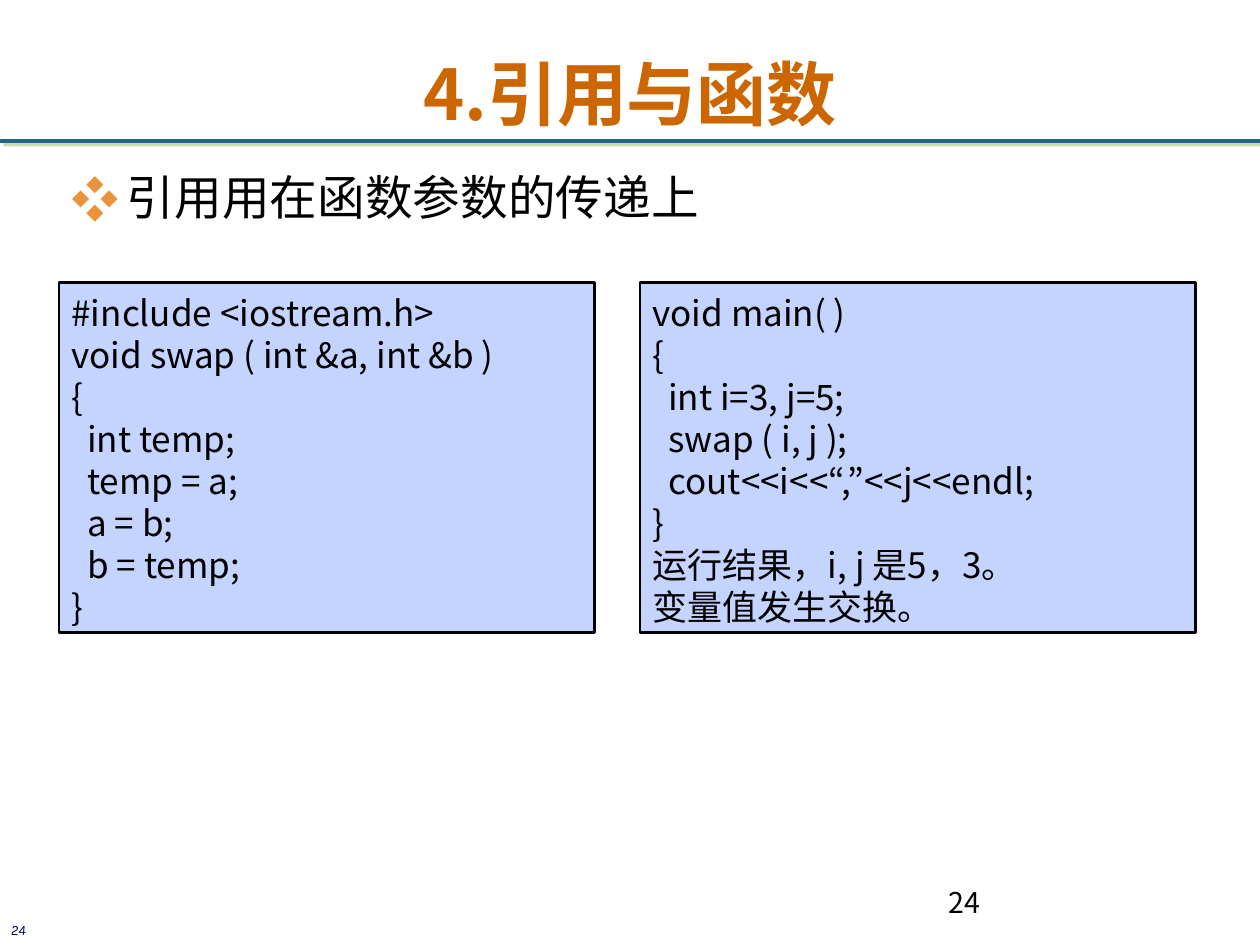
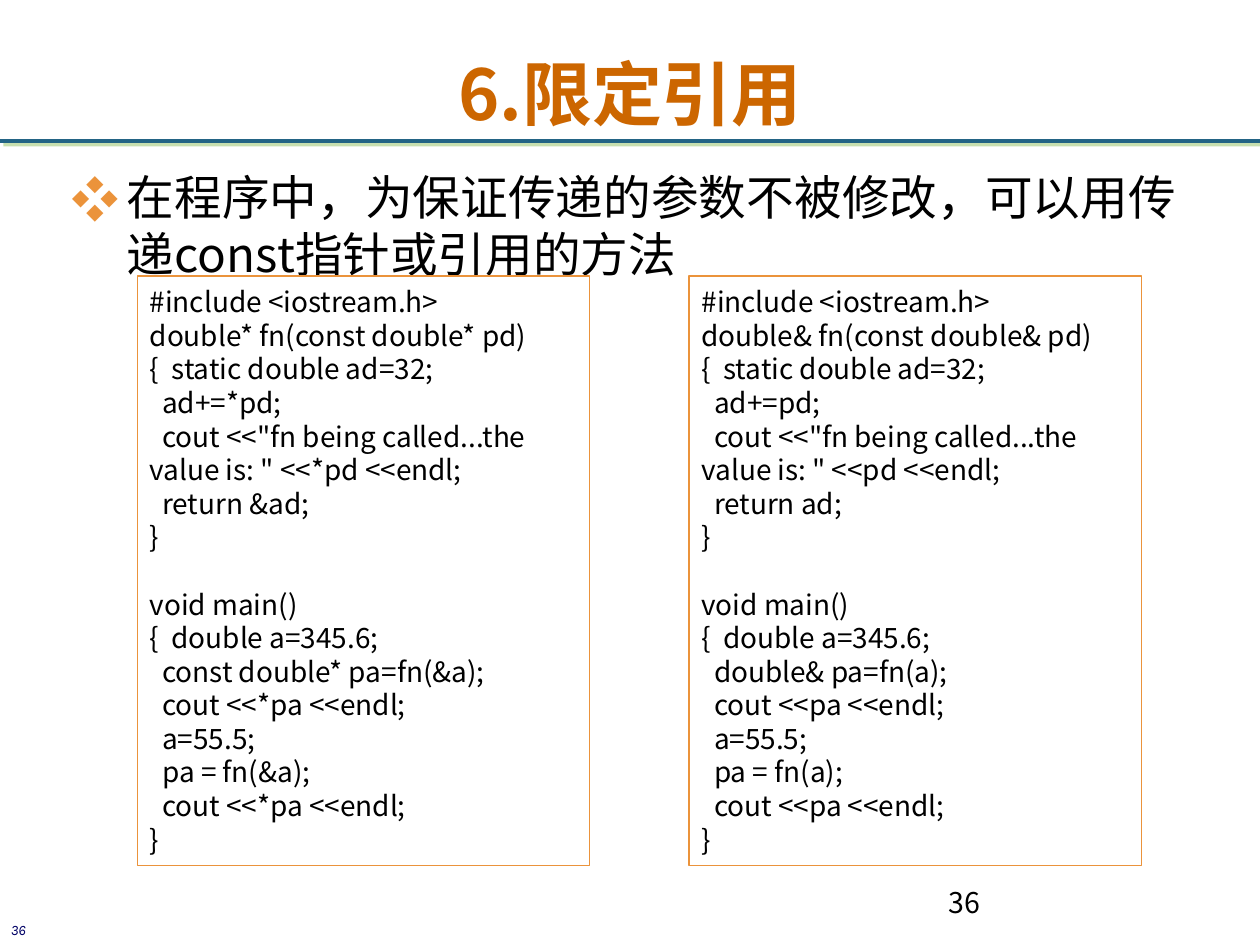
import pptx
import pptx.util
import pptx.dml.color
import pptx.enum.shapes
import pptx.enum.text
import pptx.oxml
import pptx.oxml.ns
from lxml import etree

Pt = pptx.util.Pt
ALIGN = pptx.enum.text.PP_ALIGN
ANCHOR = pptx.enum.text.MSO_ANCHOR
RECT = pptx.enum.shapes.MSO_SHAPE.RECTANGLE
qn = pptx.oxml.ns.qn

WIDE, HIGH = 720, 540
SANS, MARK = "Noto Sans CJK KR", "Karla"
INK, WHITE, ORANGE = "000000", "FFFFFF", "EB933B"
RUST, TEAL, GREEN, NAVY, BLUE = "CC6600", "236485", "90C060", "000066", "C5D3FF"
PITCH = 1.2   # line height per point of type
DROP = 0.09   # extra top inset per point of type

SWAP = """#include <iostream.h>
void swap ( int &a, int &b )
{
  int temp;
  temp = a;
  a = b;
  b = temp;
}"""

CALL = """void main( )
{
  int i=3, j=5;
  swap ( i, j );
  cout<<i<<“,”<<j<<endl;
}
运行结果，i, j 是5，3。
变量值发生交换。"""

POINTER = """#include <iostream.h>
double* fn(const double* pd)
{  static double ad=32;
  ad+=*pd;
  cout <<"fn being called...the value is: " <<*pd <<endl;
  return &ad;
}

void main()
{  double a=345.6;
  const double* pa=fn(&a);
  cout <<*pa <<endl;
  a=55.5;
  pa = fn(&a);
  cout <<*pa <<endl;
}"""

REFER = """#include <iostream.h>
double& fn(const double& pd)
{  static double ad=32;
  ad+=pd;
  cout <<"fn being called...the value is: " <<pd <<endl;
  return ad;
}

void main()
{  double a=345.6;
  double& pa=fn(a);
  cout <<pa <<endl;
  a=55.5;
  pa = fn(a);
  cout <<pa <<endl;
}"""


def tint(code):
    return pptx.dml.color.RGBColor.from_string(code)


def add(node, tag, **attrs):
    """Append a drawing element with its attributes."""
    child = etree.SubElement(node, qn(tag))
    for key, value in attrs.items():
        child.set(key, str(value))
    return child


def style(par, size, color=INK, face=SANS, bold=False, slant=False):
    for run in par.runs:
        font = run.font
        font.size, font.name = Pt(size), face
        font.bold, font.italic = bold, slant
        font.color.rgb = tint(color)
        add(run.font._element, "a:ea", typeface=face)


def write(shape, text, size, align=ALIGN.LEFT, **look):
    """Fill a shape with lines of text; an empty line becomes a gap."""
    frame = shape.text_frame
    frame.word_wrap = True
    frame.auto_size = pptx.enum.text.MSO_AUTO_SIZE.NONE
    frame.vertical_anchor = ANCHOR.TOP
    frame.margin_left = frame.margin_right = Pt(7.2)
    frame.margin_top = Pt(3.6 + DROP * size)
    frame.margin_bottom = Pt(0)
    par, gap = None, 0
    for line in text.split("\n"):
        if not line:
            gap += PITCH * size
            continue
        par = frame.paragraphs[0] if par is None else frame.add_paragraph()
        par.text = line
        par.alignment = align
        par.line_spacing = Pt(PITCH * size)
        if gap:
            par.space_before = Pt(gap)
            gap = 0
        style(par, size, **look)
    return frame


def label(slide, box, text, size, **look):
    shape = slide.shapes.add_textbox(*map(Pt, box))
    return write(shape, text, size, **look)


def block(slide, box, fill, edge=None, width=0):
    shape = slide.shapes.add_shape(RECT, *map(Pt, box))
    shape.shadow.inherit = False
    shape.fill.solid()
    shape.fill.fore_color.rgb = tint(fill)
    if edge:
        shape.line.color.rgb = tint(edge)
        shape.line.width = Pt(width)
    else:
        shape.line.fill.background()
    return shape


def rule(slide, top):
    """Line under the title with a soft green shadow."""
    line = slide.shapes.add_connector(
        pptx.enum.shapes.MSO_CONNECTOR.STRAIGHT, Pt(0), Pt(top), Pt(WIDE), Pt(top))
    line.line.color.rgb = tint(TEAL)
    line.line.width = Pt(2.25)
    effects = add(line._element.spPr, "a:effectLst")
    shade = add(effects, "a:outerShdw", dist=Pt(2.8), dir=45 * 60000,
                algn="ctr", rotWithShape=0)
    color = add(shade, "a:srgbClr", val=GREEN)
    add(color, "a:alpha", val=50000)


def badge(slide, box, number):
    """Small page number in the corner."""
    shape = block(slide, box, WHITE)
    frame = write(shape, number, 8.2, align=ALIGN.CENTER,
                  color=NAVY, face=MARK, slant=True)
    frame.word_wrap = False
    frame.vertical_anchor = ANCHOR.MIDDLE
    frame.margin_left = frame.margin_right = Pt(0)
    frame.margin_top = frame.margin_bottom = Pt(3.6)
    frame.paragraphs[0].line_spacing = 1.3


def point(slide, box, text):
    """Bulleted statement with a hanging indent."""
    shape = slide.shapes.add_textbox(*map(Pt, box))
    par = write(shape, text, 27.2).paragraphs[0]
    props = par._p.get_or_add_pPr()
    props.set("marL", str(Pt(31.7)))
    props.set("indent", str(-Pt(31.7)))
    add(add(props, "a:buClr"), "a:srgbClr", val=ORANGE)
    add(props, "a:buFont", typeface=SANS)
    add(props, "a:buChar", char="❖")


def base(deck, number, title, text):
    """Everything the slides share."""
    slide = deck.slides.add_slide(deck.slide_layouts[6])
    slide.background.fill.solid()
    slide.background.fill.fore_color.rgb = tint(WHITE)
    rule(slide, 80.6)
    badge(slide, (0, 520.5, 20.9, 18.7), number)
    label(slide, (36, 21.6, 648, 68.4), title, 40,
          align=ALIGN.CENTER, color=RUST, bold=True)
    point(slide, (33.8, 90, 663.8, 73.4), text)
    label(slide, (535, 500.4, 185, 28.8), number, 16.3)
    return slide


def codes(slide, boxes, texts, size, fill, edge, width):
    """Code listings side by side."""
    for box, text in zip(boxes, texts):
        write(block(slide, box, fill, edge, width), text, size)


def main():
    deck = pptx.Presentation()
    deck.slide_width, deck.slide_height = Pt(WIDE), Pt(HIGH)

    # References as parameters
    slide = base(deck, "24", "4.引用与函数", "引用用在函数参数的传递上")
    boxes = [(33.8, 161.3, 306, 200.2), (365.8, 161.3, 317.5, 200.2)]
    codes(slide, boxes, (SWAP, CALL), 20, BLUE, INK, 1.5)

    # Constant pointers and references
    slide = base(deck, "36", "6.限定引用",
                 "在程序中，为保证传递的参数不被修改，可以用传递const指针或引用的方法")
    boxes = [(left, 157.7, 258.5, 337) for left in (78.5, 393.8)]
    codes(slide, boxes, (POINTER, REFER), 16, WHITE, ORANGE, 0.75)

    deck.save("out.pptx")


if __name__ == "__main__":
    main()
